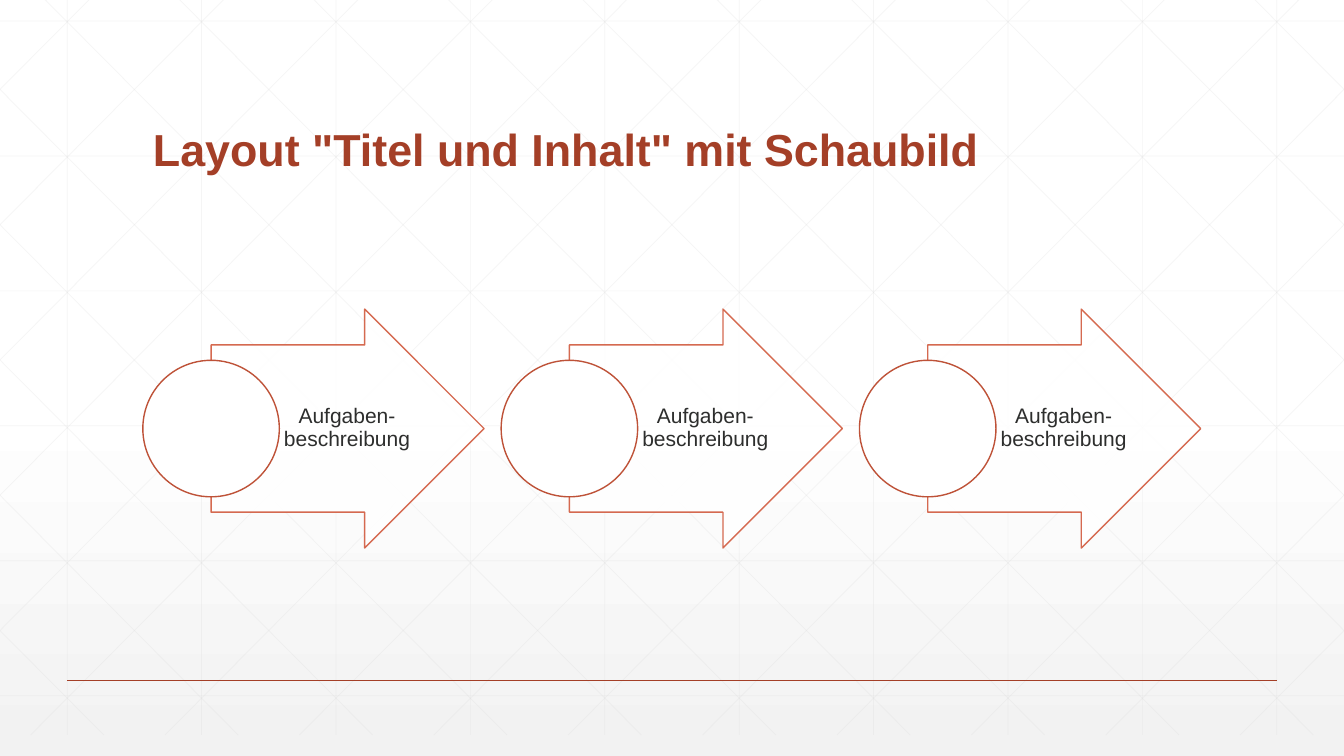
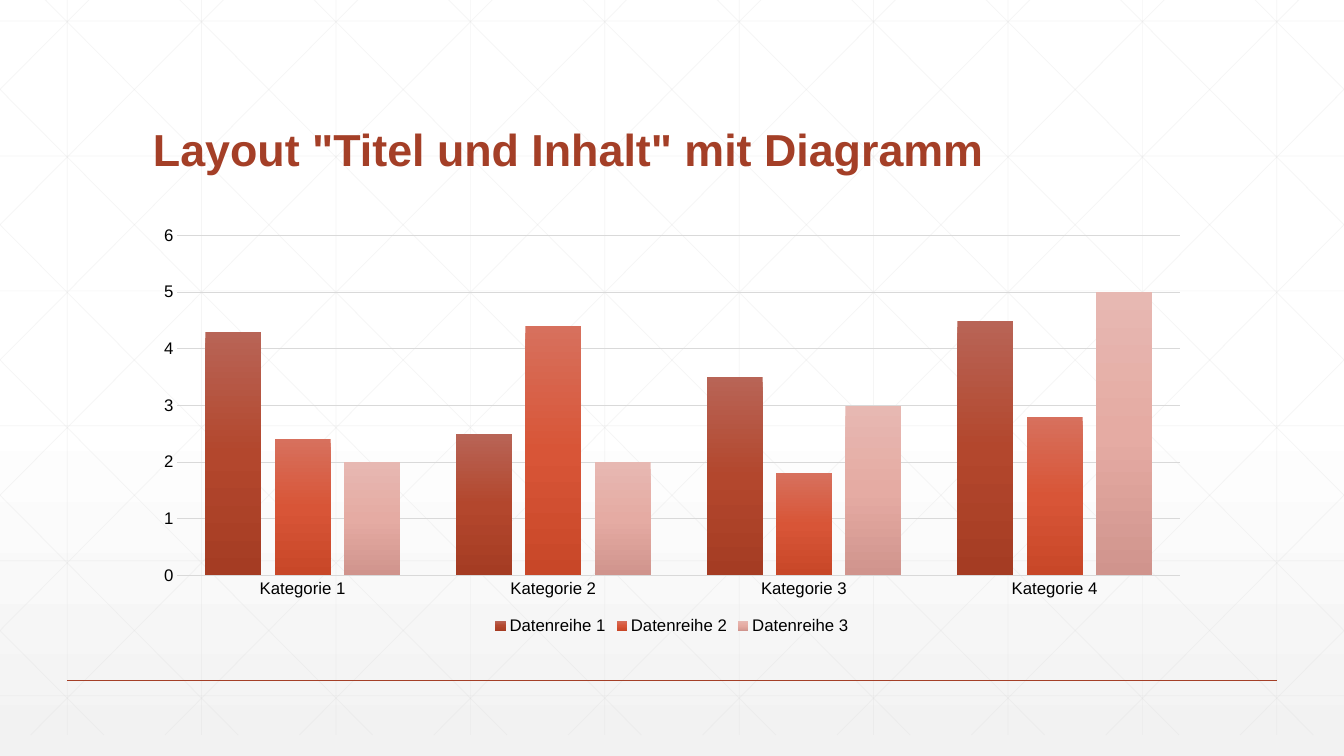
from dataclasses import dataclass

import pptx
import pptx.chart.data
import pptx.dml.color
import pptx.enum.chart
import pptx.enum.shapes
import pptx.enum.text
import pptx.oxml
import pptx.oxml.ns
import pptx.util
from pptx.util import Cm, Pt


@dataclass(frozen=True)
class Theme:
    font: str = "Arial"
    title: str = "A43F27"
    text: str = "2D2E2D"
    black: str = "000000"
    white: str = "FFFFFF"
    grid: str = "D9D9D9"
    arrow: str = "D15A3E"
    circle: str = "BE5238"
    title_size: int = 32
    label_size: int = 15
    chart_size: int = 12
    background: tuple = ((0, "FFFFFF", 100), (53, "FFFFFF", 100), (100, "F2F2F2", 65))
    series: tuple = (
        ("B86456", "B3472D", "A53C23"),
        ("D7705D", "D85537", "C84728"),
        ("E7B8B2", "E5ABA3", "D0948D"),
    )


THEME = Theme()
WIDTH, HEIGHT = 33.87, 19.05
LEFT, CONTENT_WIDTH = 3.6, 26.67
qn = pptx.oxml.ns.qn


def rgb(value):
    return pptx.dml.color.RGBColor.from_string(value)


def set_font(font, size, color, bold=False):
    font.name = THEME.font
    font.size = Pt(size)
    font.bold = bold
    font.color.rgb = rgb(color)


def set_line(line, color, width):
    line.color.rgb = rgb(color)
    line.width = Pt(width)


def set_alpha(sp, percent):
    for color in sp.element.spPr.iter(qn("a:srgbClr")):
        color.append(pptx.oxml.parse_xml(
            f'<a:alpha {pptx.oxml.ns.nsdecls("a")} val="{percent * 1000}"/>'))


def set_gradient(fill, element, stops):
    fill.gradient()
    fill.gradient_angle = 270
    items = "".join(
        f'<a:gs pos="{pos * 1000}"><a:srgbClr val="{color}">'
        f'<a:alpha val="{alpha * 1000}"/></a:srgbClr></a:gs>'
        for pos, color, alpha in stops)
    old = next(element.iter(qn("a:gsLst")))
    new = pptx.oxml.parse_xml(
        f'<a:gsLst {pptx.oxml.ns.nsdecls("a")}>{items}</a:gsLst>')
    old.getparent().replace(old, new)


def add_line(slide, start, end, color, width):
    points = [Cm(v) for v in (*start, *end)]
    sp = slide.shapes.add_connector(pptx.enum.shapes.MSO_CONNECTOR.STRAIGHT, *points)
    set_line(sp.line, color, width)
    sp.element.spPr.append(pptx.oxml.parse_xml(
        f'<a:effectLst {pptx.oxml.ns.nsdecls("a")}/>'))
    return sp


def grid_lines():
    step, top, bottom = WIDTH / 10, -0.53, 18.52
    run = 18.93
    slope = (bottom - top) / run
    for i in range(10):
        x = step * (i + 0.5)
        yield (x, top), (x, bottom)
    for i in range(6):
        y = 0.53 + 3.4 * i
        yield (0, y), (WIDTH, y)
    for i in range(-5, 10):
        x = 0.62 + step * i
        x1, x2 = max(x, 0), min(x + run, WIDTH)
        y1, y2 = (top + (v - x) * slope for v in (x1, x2))
        yield (x1, y1), (x2, y2)
        yield (WIDTH - x1, y1), (WIDTH - x2, y2)


def decorate_layout(layout, slide):
    set_gradient(layout.background.fill, layout.element, THEME.background)
    lines = []
    for start, end in grid_lines():
        sp = add_line(slide, start, end, THEME.grid, 0.5)
        set_alpha(sp, 25)
        lines.append(sp)
    margin = WIDTH / 20
    lines.append(add_line(slide, (margin, 17.15), (WIDTH - margin, 17.15), THEME.title, 1))
    for sp in lines:
        layout.shapes.element.append(sp.element)


def add_title(slide, text):
    sp = slide.shapes.title
    sp.left, sp.top, sp.width, sp.height = (
        Cm(v) for v in (LEFT, 1.4, CONTENT_WIDTH, 3.17))
    tf = sp.text_frame
    tf.text = text
    tf.auto_size = pptx.enum.text.MSO_AUTO_SIZE.NONE
    tf.vertical_anchor = pptx.enum.text.MSO_ANCHOR.BOTTOM
    p = tf.paragraphs[0]
    p.alignment = pptx.enum.text.PP_ALIGN.LEFT
    p.line_spacing = 0.9
    set_font(p.runs[0].font, THEME.title_size, THEME.title, True)


def add_outlined(slide, kind, box, color):
    sp = slide.shapes.add_shape(kind, *(Cm(v) for v in box))
    sp.shadow.inherit = False
    sp.fill.solid()
    sp.fill.fore_color.rgb = rgb(THEME.white)
    set_line(sp.line, color, 1)
    return sp


def add_label(slide, text, box):
    tf = slide.shapes.add_textbox(*(Cm(v) for v in box)).text_frame
    tf.word_wrap = True
    tf.margin_left, tf.margin_right = Cm(0.1), Cm(0.05)
    tf.margin_top = tf.margin_bottom = Cm(0.03)
    tf.vertical_anchor = pptx.enum.text.MSO_ANCHOR.MIDDLE
    tf.text = text
    p = tf.paragraphs[0]
    p.alignment = pptx.enum.text.PP_ALIGN.CENTER
    p.line_spacing = 0.9
    set_font(p.runs[0].font, THEME.label_size, THEME.text)


def add_step(slide, left, text):
    shapes = pptx.enum.shapes.MSO_SHAPE
    diameter, middle = 3.44, 10.8
    arrow_left, arrow_height = left + diameter / 2, 6.02
    arrow = add_outlined(
        slide, shapes.RIGHT_ARROW,
        (arrow_left, middle - arrow_height / 2, 6.88, arrow_height), THEME.arrow)
    arrow.adjustments[0], arrow.adjustments[1] = 0.7, 0.5
    set_alpha(arrow, 90)
    add_label(slide, text, (left + diameter, middle - 2.11, 3.36, 4.22))
    add_outlined(
        slide, shapes.OVAL,
        (left, middle - diameter / 2, diameter, diameter), THEME.circle)


def add_column_chart(slide, categories, series):
    data = pptx.chart.data.CategoryChartData()
    data.categories = categories
    for name, values in series:
        data.add_series(name, values)
    box = (Cm(v) for v in (LEFT, 5.5, CONTENT_WIDTH, 10.6))
    enum = pptx.enum.chart
    chart = slide.shapes.add_chart(enum.XL_CHART_TYPE.COLUMN_CLUSTERED, *box, data).chart
    set_font(chart.font, THEME.chart_size, THEME.black)
    chart.has_title = False
    chart.has_legend = True
    chart.legend.position = enum.XL_LEGEND_POSITION.BOTTOM
    chart.legend.include_in_layout = False

    for axis in (chart.category_axis, chart.value_axis):
        axis.major_tick_mark = axis.minor_tick_mark = enum.XL_TICK_MARK.NONE
    set_line(chart.category_axis.format.line, THEME.grid, 0.75)
    value_axis = chart.value_axis
    value_axis.minimum_scale, value_axis.maximum_scale = 0, 6
    value_axis.major_unit = 1
    value_axis.format.line.fill.background()
    set_line(value_axis.major_gridlines.format.line, THEME.grid, 0.75)

    plot = chart.plots[0]
    plot.vary_by_categories = False
    plot.gap_width, plot.overlap = 100, -24
    for s, colors in zip(plot.series, THEME.series):
        stops = [(pos, color, 100) for pos, color in zip((0, 50, 100), colors)]
        set_gradient(s.format.fill, s._element, stops)


def main():
    prs = pptx.Presentation()
    prs.slide_width, prs.slide_height = Cm(WIDTH), Cm(HEIGHT)
    layout = prs.slide_layouts[5]

    process = prs.slides.add_slide(layout)
    decorate_layout(layout, process)
    add_title(process, 'Layout "Titel und Inhalt" mit Schaubild')
    for i in range(3):
        add_step(process, LEFT + 9.03 * i, "Aufgaben-beschreibung")

    diagram = prs.slides.add_slide(layout)
    add_title(diagram, 'Layout "Titel und Inhalt" mit Diagramm')
    add_column_chart(
        diagram,
        [f"Kategorie {i}" for i in range(1, 5)],
        [("Datenreihe 1", (4.3, 2.5, 3.5, 4.5)),
         ("Datenreihe 2", (2.4, 4.4, 1.8, 2.8)),
         ("Datenreihe 3", (2, 2, 3, 5))])

    prs.save("out.pptx")


if __name__ == "__main__":
    main()
